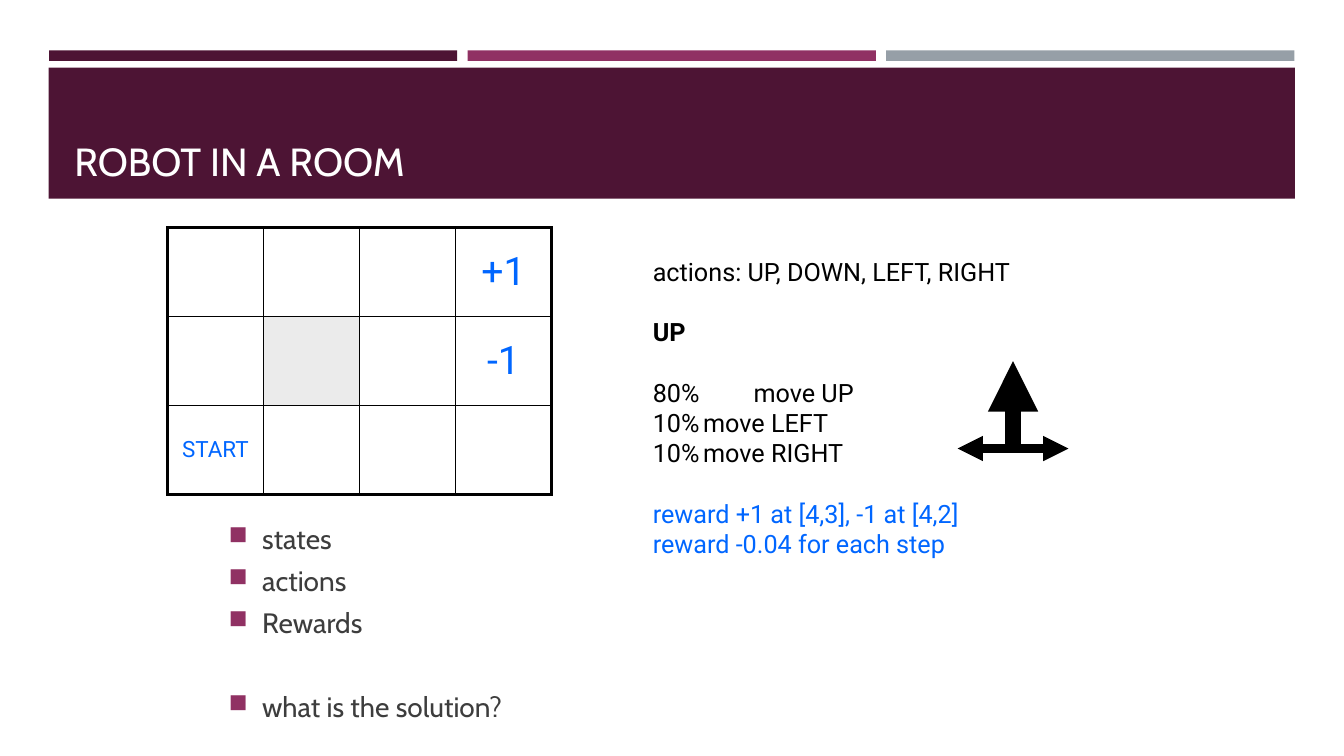
import pptx
import pptx.chart.data
import pptx.dml.color
import pptx.enum.shapes
import pptx.enum.text
import pptx.oxml
import pptx.oxml.ns
import pptx.util
from dataclasses import dataclass
from lxml import etree

Pt = pptx.util.Pt
Align = pptx.enum.text.PP_ALIGN
Anchor = pptx.enum.text.MSO_ANCHOR
qn = pptx.oxml.ns.qn


def rgb(code):
    return pptx.dml.color.RGBColor.from_string(code)


def add(node, tag, **attrs):
    return etree.SubElement(node, qn(tag), attrs)


@dataclass
class Theme:
    plum: str = "4D1434"
    rose: str = "903163"
    slate: str = "969FA7"
    white: str = "FFFFFF"
    black: str = "000000"
    blue: str = "0066FF"
    gray: str = "EBEBEB"
    ink: str = "3D3D3D"
    head: str = "Cabin"
    body: str = "Roboto"
    large: int = 28
    list: int = 20
    text: int = 18
    small: int = 16
    thin: float = 1
    thick: float = 2.25


class Deck:
    def __init__(self, theme):
        self.theme = theme
        self.show = pptx.Presentation()
        self.show.slide_width, self.show.slide_height = Pt(960), Pt(540)
        self.slide = self.show.slides.add_slide(self.show.slide_layouts[6])

    def bar(self, x, y, w, h, color):
        shape = self.slide.shapes.add_shape(
            pptx.enum.shapes.MSO_SHAPE.RECTANGLE, Pt(x), Pt(y), Pt(w), Pt(h))
        shape.shadow.inherit = False
        shape.fill.solid()
        shape.fill.fore_color.rgb = rgb(color)
        shape.line.fill.background()

    def style(self, para, face, size, color, bold=False):
        for run in para.runs:
            run.font.name = face
            run.font.size = Pt(size)
            run.font.color.rgb = rgb(color)
            run.font.bold = bold

    def box(self, x, y, w, h, text, anchor=Anchor.TOP):
        frame = self.slide.shapes.add_textbox(Pt(x), Pt(y), Pt(w), Pt(h)).text_frame
        frame.word_wrap = True
        frame.vertical_anchor = anchor
        frame.text = text
        return frame.paragraphs

    def bullet(self, para):
        props = para._p.get_or_add_pPr()
        props.set("marL", str(Pt(24)))
        props.set("indent", str(-Pt(24)))
        add(add(props, "a:buClr"), "a:srgbClr", val=self.theme.rose)
        add(props, "a:buSzPct", val="92000")
        add(props, "a:buChar", char="■")
        para.space_after = Pt(6)

    def tab(self, para, stop):
        stops = add(para._p.get_or_add_pPr(), "a:tabLst")
        add(stops, "a:tab", pos=str(Pt(stop)), algn="l")

    def border(self, cell, sides):
        props = cell._tc.get_or_add_tcPr()
        for spot, (side, width) in enumerate(sides.items()):
            line = etree.Element(qn("a:ln" + side), w=str(Pt(width)))
            add(add(line, "a:solidFill"), "a:srgbClr", val=self.theme.black)
            props.insert(spot, line)

    def grid(self, x, y, w, h, rows, cols, labels, wall):
        t = self.theme
        table = self.slide.shapes.add_table(
            rows, cols, Pt(x), Pt(y), Pt(w), Pt(h)).table
        table.first_row = table.horz_banding = False
        for col in table.columns:
            col.width = Pt(w / cols)
        for row in table.rows:
            row.height = Pt(h / rows)
        for r in range(rows):
            for c in range(cols):
                cell = table.cell(r, c)
                cell.vertical_anchor = Anchor.MIDDLE
                if (r, c) == wall:
                    cell.fill.solid()
                    cell.fill.fore_color.rgb = rgb(t.gray)
                else:
                    cell.fill.background()
                edges = {"L": c == 0, "R": c == cols - 1, "T": r == 0, "B": r == rows - 1}
                self.border(cell, {k: t.thick if v else t.thin for k, v in edges.items()})
                if (r, c) in labels:
                    text, size = labels[r, c]
                    cell.text_frame.text = text
                    para = cell.text_frame.paragraphs[0]
                    para.alignment = Align.CENTER
                    self.style(para, t.body, size, t.blue)

    def arrow(self, x1, y1, x2, y2, width):
        link = self.slide.shapes.add_connector(
            pptx.enum.shapes.MSO_CONNECTOR.STRAIGHT, Pt(x1), Pt(y1), Pt(x2), Pt(y2))
        link.line.color.rgb = rgb(self.theme.black)
        link.line.width = Pt(width)
        add(link.line._get_or_add_ln(), "a:tailEnd", type="triangle")
        add(link._element.spPr, "a:effectLst")


def main():
    t = Theme()
    deck = Deck(t)

    for i, color in enumerate((t.plum, t.rose, t.slate)):
        deck.bar(35 + i * 299, 36, 291.6, 7.6, color)
    deck.bar(34.7, 48.4, 890.3, 93.6, t.plum)
    title = deck.box(46, 55.4, 868, 80, "ROBOT IN A ROOM", Anchor.BOTTOM)[0]
    deck.style(title, t.head, t.large, t.white)

    labels = {(0, 3): ("+1", t.large), (1, 3): ("-1", t.large), (2, 0): ("START", t.small)}
    deck.grid(119.6, 162.4, 274.4, 190.8, 3, 4, labels, (1, 1))

    for x, y, width in ((723.6, 258, 12), (763.2, 320.4, 6), (684, 320.4, 6)):
        deck.arrow(723.6, 320.4, x, y, width)

    rules = deck.box(459.2, 179.3, 304, 225, "\n".join((
        "actions: UP, DOWN, LEFT, RIGHT", "UP", "80% \tmove UP", "10%\tmove LEFT",
        "10%\tmove RIGHT", "reward +1 at [4,3], -1 at [4,2]", "reward -0.04 for each step")))
    for i, para in enumerate(rules):
        if i in (2, 3, 4):
            deck.tab(para, 72 if i == 2 else 36)
        if i in (1, 2, 5):
            para.space_before = Pt(21.6)
        deck.style(para, t.body, t.text, t.blue if i > 4 else t.black, i == 1)

    goals = deck.box(156.2, 349.2, 648, 190.8,
                     "states\nactions\nRewards\nwhat is the solution?", Anchor.MIDDLE)
    for para in goals:
        deck.bullet(para)
        deck.style(para, t.head, t.list, t.ink)
    goals[-1].space_before = Pt(30)

    deck.show.save("out.pptx")


if __name__ == "__main__":
    main()
